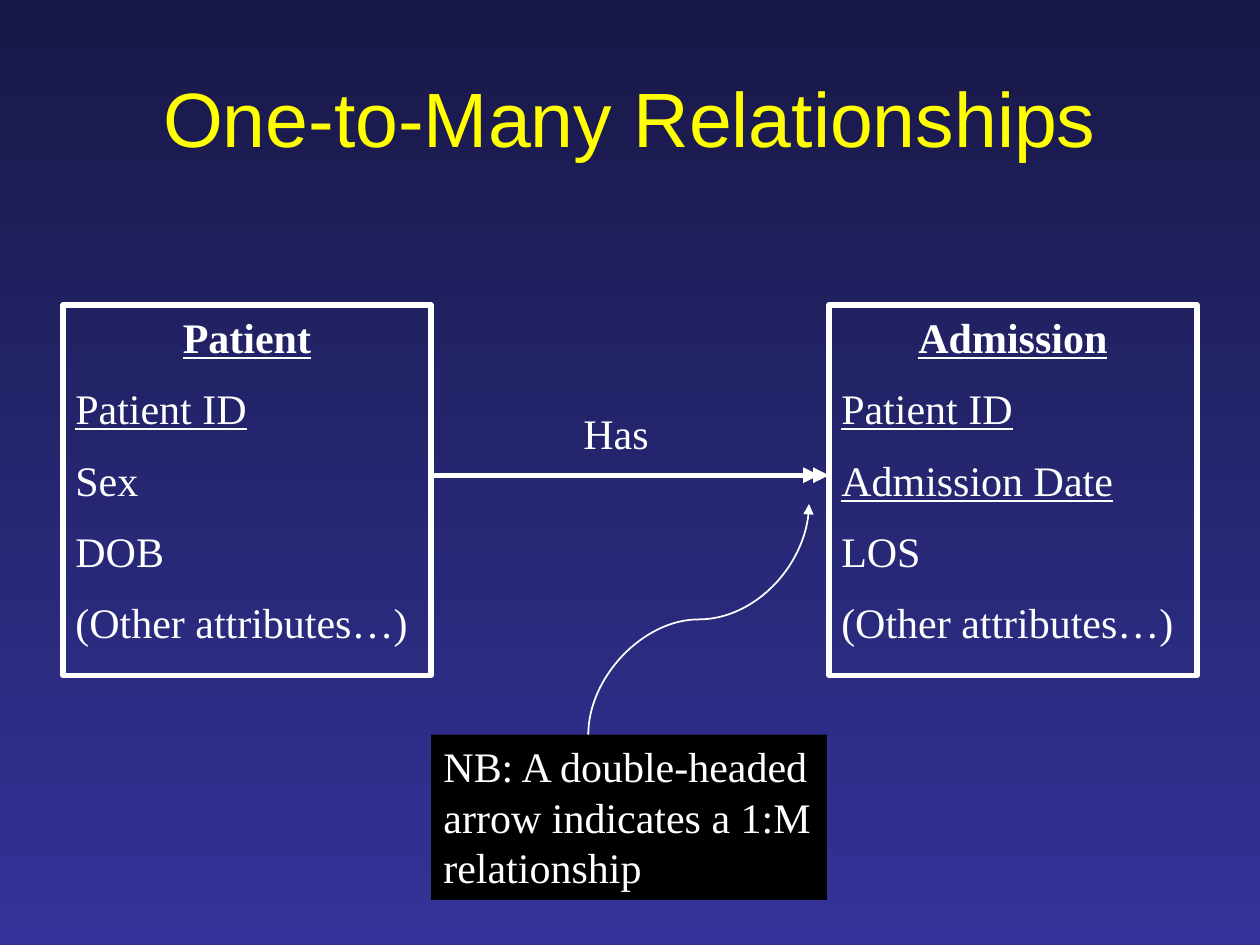
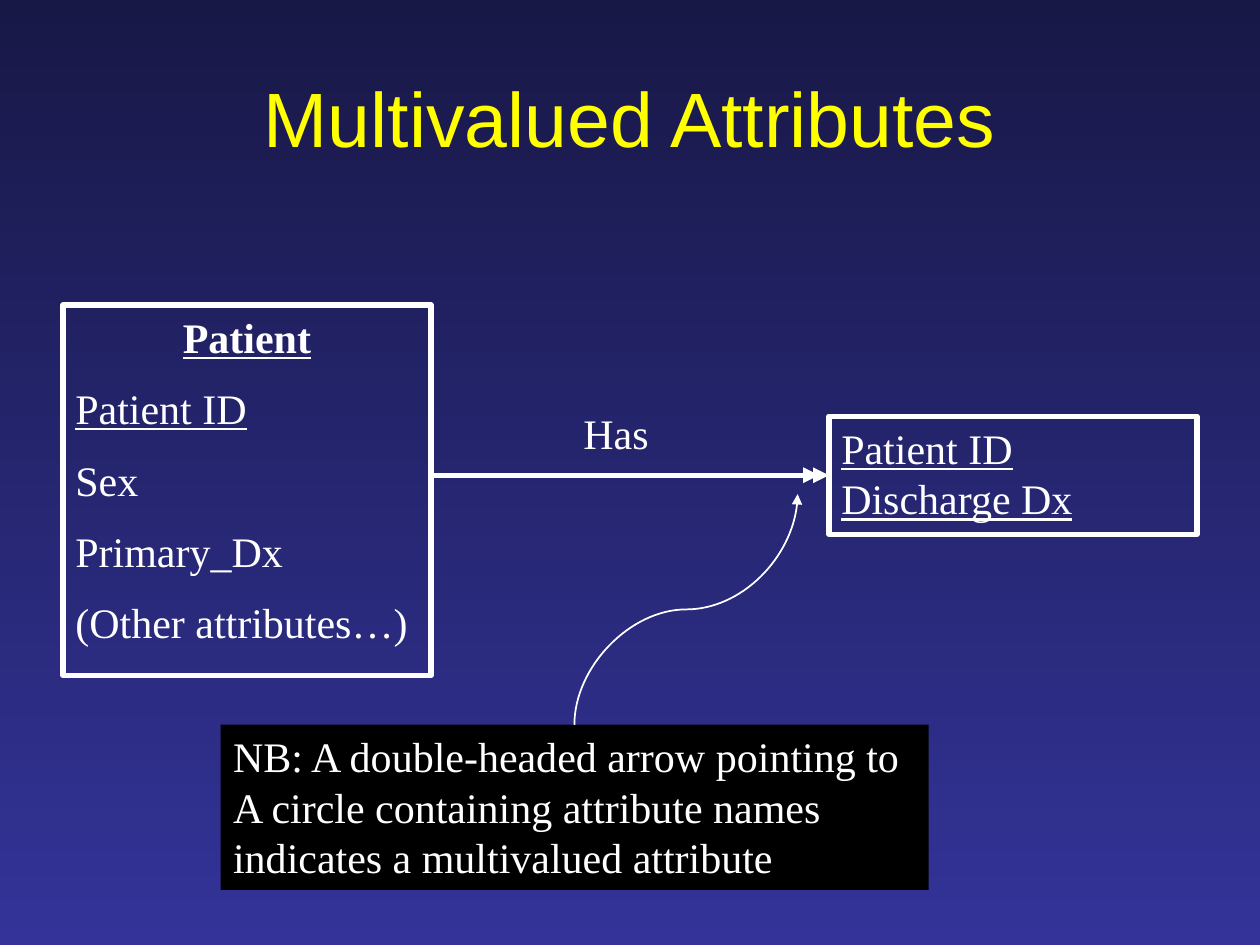
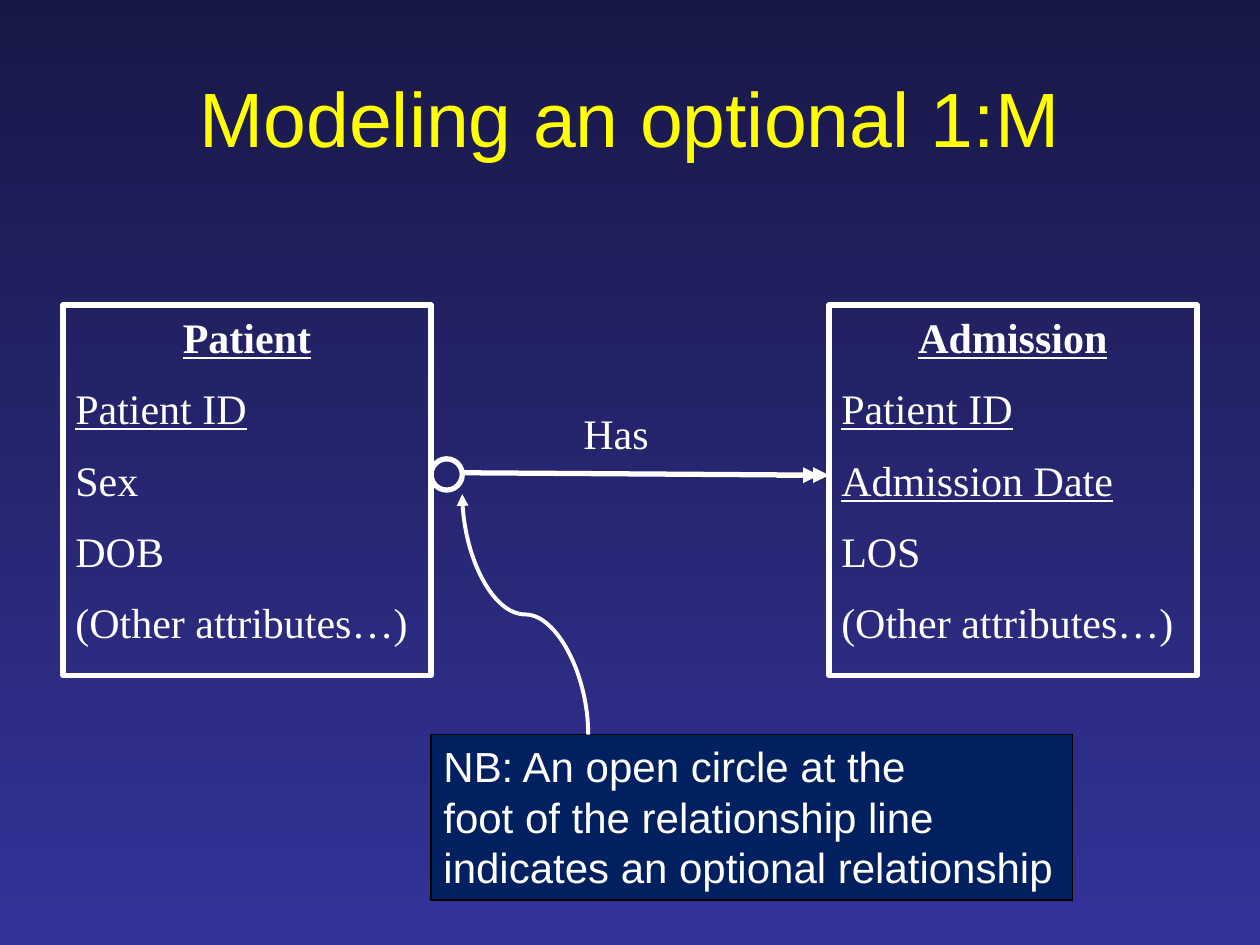
from dataclasses import dataclass

import pptx
from pptx import util as u
from pptx.dml import color
from pptx.enum import shapes, text
from pptx.oxml import ns, xmlchemy
from pptx.oxml import parse_xml

Cm, Pt = u.Cm, u.Pt
RGB = color.RGBColor


@dataclass(frozen=True)
class Theme:
    top: RGB = RGB(0x18, 0x18, 0x47)
    base: RGB = RGB(0x33, 0x33, 0x99)
    head: RGB = RGB(0xFF, 0xFF, 0x00)
    ink: RGB = RGB(0xFF, 0xFF, 0xFF)
    black: RGB = RGB(0x00, 0x00, 0x00)
    navy: RGB = RGB(0x00, 0x20, 0x60)
    sans: str = "Arial"
    serif: str = "Times New Roman"
    title: Pt = Pt(44)
    body: Pt = Pt(24)
    pitch: Pt = Pt(28.8)
    gap: Pt = Pt(12)
    thick: float = 3


T = Theme()


@dataclass(frozen=True)
class Box:
    x: float
    y: float
    w: float
    h: float


@dataclass(frozen=True)
class Table:
    box: Box
    name: str
    keys: tuple[str, ...]
    rest: tuple[str, ...] = ()


@dataclass(frozen=True)
class Note:
    box: Box
    words: str
    fill: RGB = T.black
    font: str = T.serif
    edge: bool = False


@dataclass(frozen=True)
class Curve:
    x1: float
    y1: float
    x2: float
    y2: float
    width: float = 1


@dataclass(frozen=True)
class Page:
    title: str
    left: Table
    right: Table
    note: Note
    curve: Curve
    ring: Box | None = None


OTHER = "(Other attributes…)"
EDGE, FAR, AXIS = 8.69, 16.71, 9.58
LEFT = Box(1.27, 6.15, 7.42, 7.47)
RIGHT = Box(FAR, 6.15, 7.42, 7.47)
PATIENT = Table(LEFT, "Patient", ("Patient ID",), ("Sex", "DOB", OTHER))
VISIT = Table(RIGHT, "Admission", ("Patient ID", "Admission Date"), ("LOS", OTHER))

PAGES = (
    Page(
        "One-to-Many Relationships", PATIENT, VISIT,
        Note(Box(EDGE, 14.81, 7.98, 3.33),
             "NB: A double-headed\narrow indicates a 1:M\nrelationship"),
        Curve(11.86, 14.81, 16.31, 10.16),
    ),
    Page(
        "Multivalued Attributes",
        Table(LEFT, "Patient", ("Patient ID",), ("Sex", "Primary_Dx", OTHER)),
        Table(Box(FAR, 8.39, 7.42, 2.38), "", ("Patient ID", "Discharge Dx")),
        Note(Box(4.45, 14.61, 14.27, 3.33),
             "NB: A double-headed arrow pointing to\n"
             "A circle containing attribute names\n"
             "indicates a multivalued attribute"),
        Curve(11.58, 14.61, 16.08, 9.96),
    ),
    Page(
        "Modeling an optional 1:M", PATIENT, VISIT,
        Note(Box(EDGE, 14.81, 12.93, 3.33),
             "NB: An open circle at the\n"
             "foot of the relationship line\n"
             "indicates an optional relationship",
             T.navy, T.sans, True),
        Curve(11.86, 14.81, 9.32, 9.96, 2.25),
        Box(EDGE, 9.25, 0.63, 0.63),
    ),
)


def place(box: Box) -> tuple:
    return Cm(box.x), Cm(box.y), Cm(box.w), Cm(box.h)


def style(para, font: str = T.serif, bold: bool = False, under: bool = False) -> None:
    para.alignment = text.PP_ALIGN.CENTER if bold else text.PP_ALIGN.LEFT
    para.line_spacing = T.pitch
    for run in para.runs:
        run.font.name = font
        run.font.size = T.body
        run.font.color.rgb = T.ink
        run.font.bold = bold
        run.font.underline = under


def frame(slide, box: Box, kind=shapes.MSO_SHAPE.RECTANGLE):
    shape = slide.shapes.add_shape(kind, *place(box))
    shape.shadow.inherit = False
    shape.fill.background()
    shape.line.color.rgb = T.ink
    shape.line.width = Pt(T.thick)
    shape.text_frame.vertical_anchor = text.MSO_ANCHOR.TOP
    return shape


def draw_table(slide, table: Table):
    shape = frame(slide, table.box)
    body = shape.text_frame
    rows = ((table.name,) if table.name else ()) + table.keys + table.rest
    body.text = "\n".join(rows)
    for i, para in enumerate(body.paragraphs):
        first = rows[i] == table.name
        style(para, bold=first, under=first or rows[i] in table.keys)
        if table.name and i:
            para.space_before = T.gap
    return shape


def fit(body, words: str, font: str = T.serif) -> None:
    body.text = words
    body.word_wrap = False
    body.auto_size = text.MSO_AUTO_SIZE.SHAPE_TO_FIT_TEXT
    for para in body.paragraphs:
        style(para, font)


def draw_note(slide, note: Note) -> None:
    shape = frame(slide, note.box)
    shape.fill.solid()
    shape.fill.fore_color.rgb = note.fill
    if note.edge:
        shape.line.color.rgb = T.black
        shape.line.width = Pt(1)
    else:
        shape.line.fill.background()
    fit(shape.text_frame, note.words, note.font)


def arrow(slide, kind, x1: float, y1: float, x2: float, y2: float, width: float = T.thick):
    link = slide.shapes.add_connector(kind, Cm(x1), Cm(y1), Cm(x2), Cm(y2))
    link.line.color.rgb = T.ink
    link.line.width = Pt(width)
    tip = parse_xml(f'<a:tailEnd {ns.nsdecls("a")} type="triangle"/>')
    link.line._get_or_add_ln().append(tip)
    link._element.spPr.append(parse_xml(f'<a:effectLst {ns.nsdecls("a")}/>'))
    return link


def draw_curve(slide, curve: Curve) -> None:
    mid_x, mid_y = (curve.x1 + curve.x2) / 2, (curve.y1 + curve.y2) / 2
    side = 1 if curve.x2 > curve.x1 else -1
    run = side * (curve.y1 - curve.y2) / 2
    rise = abs(curve.x2 - curve.x1) / 2
    link = arrow(slide, shapes.MSO_CONNECTOR.CURVE, mid_x - run, mid_y - rise,
                 mid_x + run, mid_y + rise, curve.width)
    turn = 270 if side > 0 else 90
    link._element.spPr.find(ns.qn("a:xfrm")).set("rot", str(turn * 60000))


def draw_title(slide, words: str) -> None:
    title = slide.shapes.title
    title.left, title.top, title.width, title.height = place(Box(1.27, 0.76, 22.86, 3.18))
    body = title.text_frame
    body.text = words
    body.vertical_anchor = text.MSO_ANCHOR.MIDDLE
    para = body.paragraphs[0]
    para.alignment = text.PP_ALIGN.CENTER
    font = para.runs[0].font
    font.name, font.size = T.sans, T.title
    font.color.rgb = T.head


def draw_page(deck, page: Page) -> None:
    slide = deck.slides.add_slide(deck.slide_layouts[5])
    draw_title(slide, page.title)
    draw_table(slide, page.left)
    right = draw_table(slide, page.right)
    line = shapes.MSO_CONNECTOR.STRAIGHT
    start = (page.ring.x + page.ring.w, 9.53) if page.ring else (EDGE, AXIS)
    link = arrow(slide, line, *start, FAR, AXIS)
    if not page.right.name:
        link.end_connect(right, 1)
    arrow(slide, line, 15.67, AXIS, 16.51, AXIS)
    label = slide.shapes.add_textbox(*place(Box(11.51, 8.1, 1.83, 1.27)))
    fit(label.text_frame, "Has")
    draw_note(slide, page.note)
    draw_curve(slide, page.curve)
    if page.ring:
        frame(slide, page.ring, shapes.MSO_SHAPE.OVAL)


def main() -> None:
    deck = pptx.Presentation()
    deck.slide_width, deck.slide_height = Cm(25.4), Cm(19.05)
    fill = deck.slide_master.background.fill
    fill.gradient()
    fill.gradient_angle = 270
    for stop, tone in zip(fill.gradient_stops, (T.top, T.base)):
        stop.color.rgb = tone
    for page in PAGES:
        draw_page(deck, page)
    deck.save("out.pptx")


if __name__ == "__main__":
    main()
